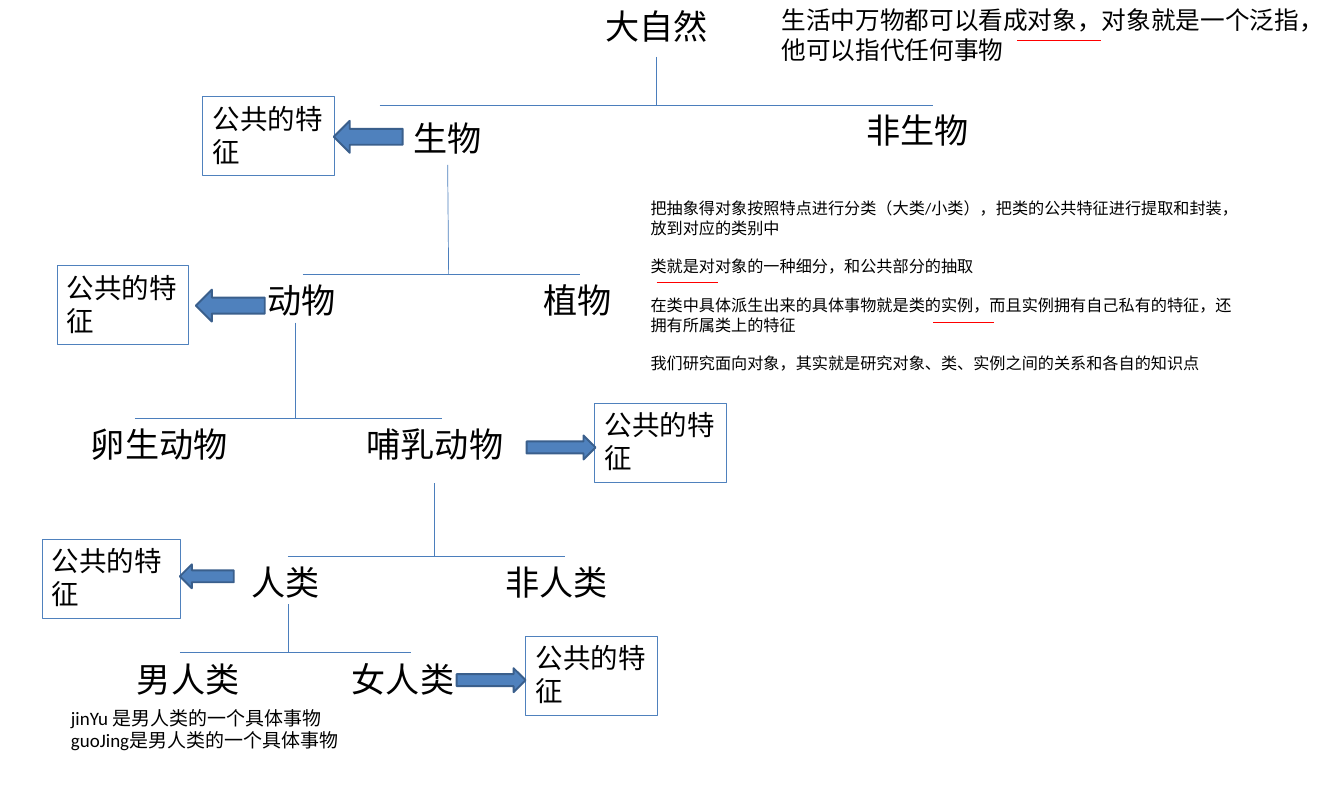
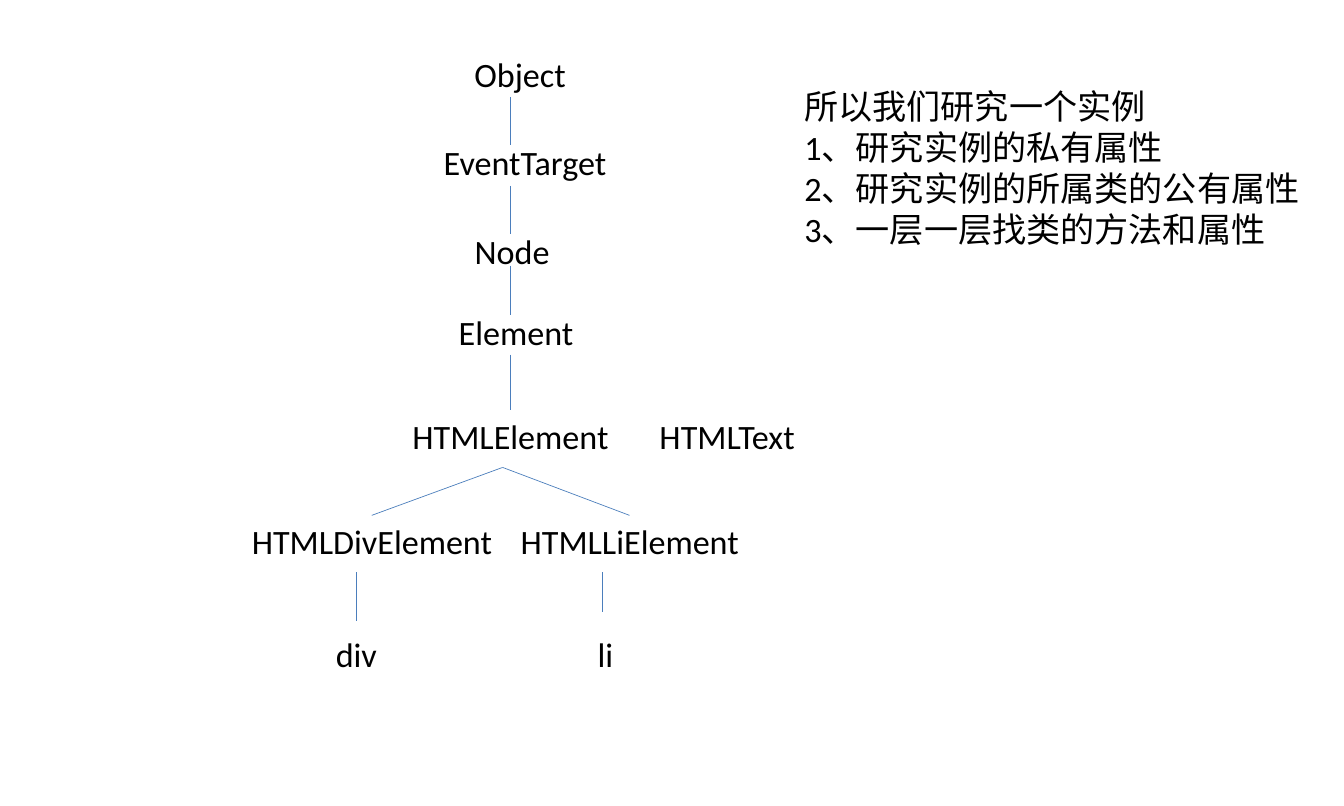
"""Build two slides: a tree of natural things and a class inheritance tree."""
from dataclasses import dataclass

from lxml import etree
from pptx import Presentation
from pptx.dml.color import RGBColor
from pptx.enum.shapes import MSO_CONNECTOR, MSO_SHAPE
from pptx.enum.text import MSO_ANCHOR, MSO_AUTO_SIZE, PP_ALIGN
from pptx.oxml.ns import qn
from pptx.util import Emu, Pt


@dataclass(frozen=True)
class Theme:
    font: str = "Calibri"
    text: RGBColor = RGBColor(0x00, 0x00, 0x00)
    branch: RGBColor = RGBColor(0x4B, 0x7E, 0xBC)
    accent: RGBColor = RGBColor(0x4F, 0x81, 0xBD)
    arrow_edge: RGBColor = RGBColor(0x3A, 0x5F, 0x8C)
    mark: RGBColor = RGBColor(0xFF, 0x00, 0x00)
    thin: float = 0.75
    mark_width: float = 1
    arrow_width: float = 2
    label: int = 36
    trait: int = 29
    heading: int = 26
    example: int = 20
    note: int = 17
    note_gap: float = 20.5


THEME = Theme()
EMU_PER_PIXEL = 914400 / 68.3
CJK_CHAR = 34.2
LABEL_HEIGHT = 53
INSET_X, INSET_Y = 10, 5
TRAIT_TEXT = "公共的特征"
TRAIT_WIDTH, TRAIT_HEIGHT = 132, 79


def px(*lengths):
    return [Emu(round(length * EMU_PER_PIXEL)) for length in lengths]


def write(shape, paragraphs, size, wrap=True, gap=0):
    frame = shape.text_frame
    frame.word_wrap = wrap
    frame.auto_size = MSO_AUTO_SIZE.SHAPE_TO_FIT_TEXT
    frame.vertical_anchor = MSO_ANCHOR.TOP
    frame.margin_left, frame.margin_right = px(INSET_X, INSET_X)
    frame.margin_top, frame.margin_bottom = px(INSET_Y, INSET_Y)
    for index, text in enumerate(paragraphs):
        paragraph = frame.paragraphs[0] if index == 0 else frame.add_paragraph()
        paragraph.alignment = PP_ALIGN.LEFT
        paragraph.space_before = Pt(gap if index else 0)
        run = paragraph.add_run()
        run.text = text
        run.font.name = THEME.font
        run.font.size = Pt(size)
        run.font.color.rgb = THEME.text


def note(slide, x, y, width, height, paragraphs, size, gap=0):
    box = slide.shapes.add_textbox(*px(x, y, width, height))
    write(box, paragraphs, size, gap=gap)


def label(slide, text, x, y, width=None, height=LABEL_HEIGHT):
    width = width or 2 * INSET_X + CJK_CHAR * len(text)
    box = slide.shapes.add_textbox(*px(x, y, width, height))
    write(box, [text], THEME.label, wrap=False)


def line(slide, x1, y1, x2, y2, color=THEME.branch, width=THEME.thin):
    connector = slide.shapes.add_connector(
        MSO_CONNECTOR.STRAIGHT, *px(x1, y1, x2, y2))
    connector.line.color.rgb = color
    connector.line.width = Pt(width)
    etree.SubElement(connector._element.spPr, qn("a:effectLst"))


def underline(slide, left, right, y):
    line(slide, left, y, right, y, THEME.mark, THEME.mark_width)


def fork(slide, stem_x, top, bar_y, left, right, foot_x=None):
    line(slide, stem_x, top, foot_x or stem_x, bar_y)
    line(slide, left, bar_y, right, bar_y)


def trait_box(slide, x, y, width=TRAIT_WIDTH):
    box = slide.shapes.add_shape(
        MSO_SHAPE.RECTANGLE, *px(x, y, width, TRAIT_HEIGHT))
    box.shadow.inherit = False
    box.fill.background()
    box.line.color.rgb = THEME.accent
    box.line.width = Pt(THEME.thin)
    write(box, [TRAIT_TEXT], THEME.trait)


def arrow(slide, kind, x, y, width, height):
    shape = slide.shapes.add_shape(kind, *px(x, y, width, height))
    shape.shadow.inherit = False
    shape.fill.solid()
    shape.fill.fore_color.rgb = THEME.accent
    shape.line.color.rgb = THEME.arrow_edge
    shape.line.width = Pt(THEME.arrow_width)


def nature_slide(slide):
    fork(slide, 657, 57, 105, 380, 934)
    fork(slide, 448, 165, 275, 303, 580, foot_x=449)
    fork(slide, 296, 323, 419, 135, 442)
    fork(slide, 435, 484, 557, 288, 565)
    fork(slide, 289, 605, 653, 180, 411)

    for text, x, y in [
        ("大自然", 596, 0),
        ("生物", 404, 113), ("非生物", 857, 105),
        ("动物", 258, 275), ("植物", 534, 275),
        ("卵生动物", 81, 419), ("哺乳动物", 357, 419),
        ("人类", 242, 557), ("非人类", 496, 557),
        ("男人类", 127, 654), ("女人类", 342, 654),
    ]:
        label(slide, text, x, y)

    for x, y in [(203, 97), (57, 266), (595, 404), (526, 637)]:
        trait_box(slide, x, y)
    trait_box(slide, 42, 540, width=139)

    for x, y, width, height in [
        (334, 121, 69, 32), (196, 290, 69, 32), (180, 565, 54, 24),
    ]:
        arrow(slide, MSO_SHAPE.LEFT_ARROW, x, y, width, height)
    for x, y in [(527, 436), (457, 669)]:
        arrow(slide, MSO_SHAPE.RIGHT_ARROW, x, y, 69, 24)

    note(slide, 61, 702, 290, 56, [
        "jinYu 是男人类的一个具体事物",
        "guoJing是男人类的一个具体事物",
    ], THEME.example)
    note(slide, 772, 0, 546, 72, [
        "生活中万物都可以看成对象，对象就是一个泛指，他可以指代任何事物",
    ], THEME.heading)
    note(slide, 641, 194, 615, 206, [
        "把抽象得对象按照特点进行分类（大类/小类），"
        "把类的公共特征进行提取和封装，放到对应的类别中",
        "类就是对对象的一种细分，和公共部分的抽取",
        "在类中具体派生出来的具体事物就是类的实例，"
        "而且实例拥有自己私有的特征，还拥有所属类上的特征",
        "我们研究面向对象，其实就是研究对象、类、实例之间的关系和各自的知识点",
    ], THEME.note, THEME.note_gap)

    for left, right, y in [(1018, 1102, 41), (934, 995, 323), (657, 719, 283)]:
        underline(slide, left, right, y)


def class_slide(slide):
    for text, x, y, width in [
        ("\u00a0Object", 457, 48, 122),
        ("EventTarget", 434, 137, 185),
        ("Node", 465, 226, 98),
        ("Element", 449, 307, 137),
        ("\u00a0HTMLElement", 395, 411, 228),
        ("HTMLDivElement", 242, 516, 263),
        ("HTMLLiElement", 511, 516, 241),
        ("div", 326, 629, 65),
        ("li", 588, 629, 38),
    ]:
        label(slide, text, x, y, width)
    label(slide, "HTMLText", 650, 411, 158, height=93)

    for x, top, bottom in [
        (511, 97, 145), (511, 186, 234), (511, 266, 315), (511, 355, 411),
        (357, 573, 622), (603, 573, 613),
    ]:
        line(slide, x, top, x, bottom)
    for child_x in (372, 630):
        line(slide, child_x, 516, 503, 468)

    note(slide, 795, 81, 520, 176, [
        "所以我们研究一个实例",
        "1、研究实例的私有属性",
        "2、研究实例的所属类的公有属性",
        "3、一层一层找类的方法和属性",
    ], THEME.label)


def main():
    presentation = Presentation()
    presentation.slide_width, presentation.slide_height = px(1345, 807)
    blank = presentation.slide_layouts[6]
    for build in (nature_slide, class_slide):
        build(presentation.slides.add_slide(blank))
    presentation.save("out.pptx")


main()
